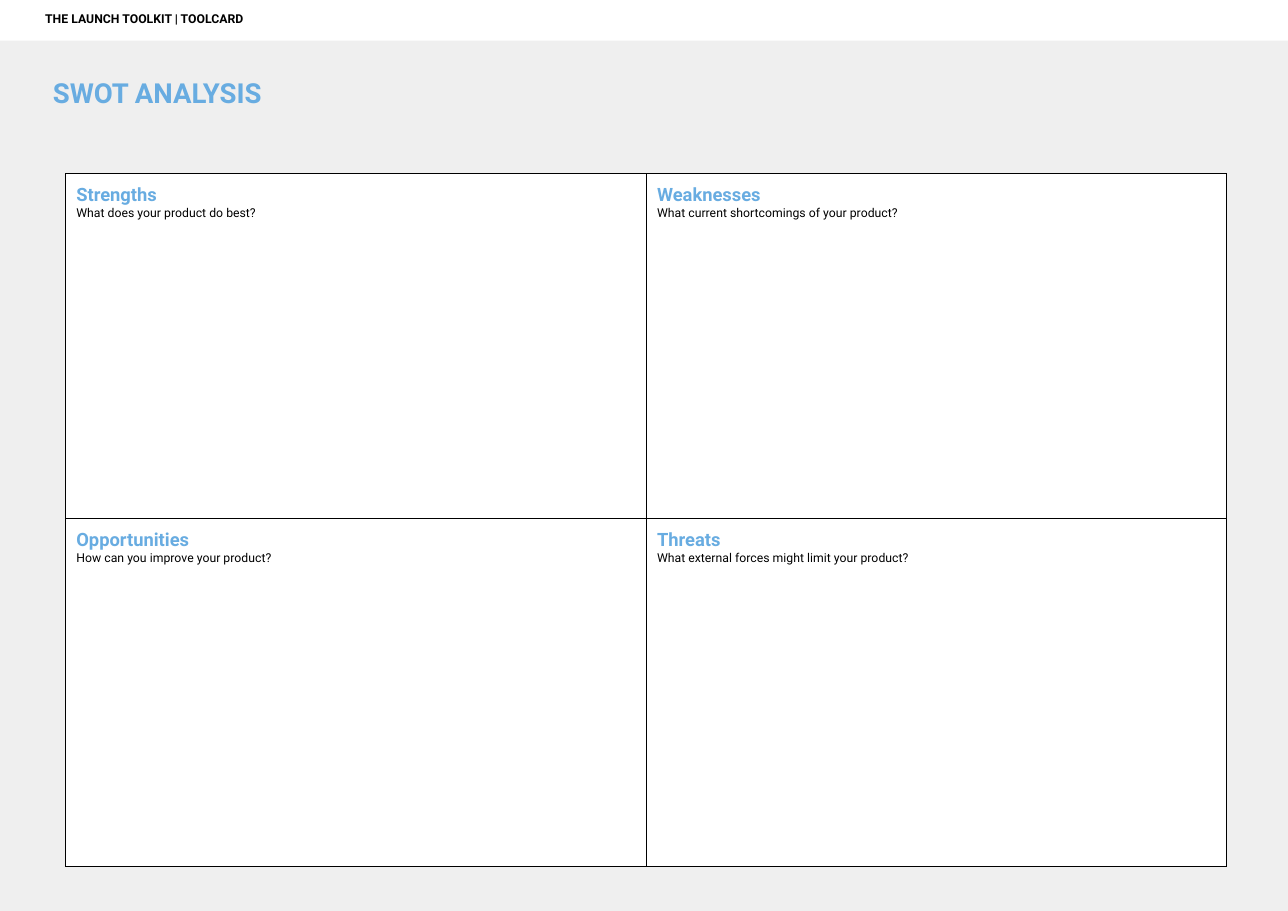
from lxml import etree
from pptx import Presentation
from pptx.dml.color import RGBColor
from pptx.enum.shapes import MSO_SHAPE
from pptx.enum.text import MSO_ANCHOR, MSO_AUTO_SIZE, PP_ALIGN
from pptx.oxml.ns import qn
from pptx.util import Cm, Pt

RECTANGLE = MSO_SHAPE.RECTANGLE
TOP = MSO_ANCHOR.TOP
LEFT = PP_ALIGN.LEFT
NO_AUTOFIT = MSO_AUTO_SIZE.NONE

BLUE = RGBColor(0x68, 0xAC, 0xE1)
BLACK = RGBColor(0, 0, 0)
WHITE = RGBColor(0xFF, 0xFF, 0xFF)
GREY = RGBColor(0xEF, 0xEF, 0xEF)

INSET = Cm(0.25)
INSETS = dict.fromkeys(("margin_left", "margin_top", "margin_right", "margin_bottom"), INSET)
TITLE_FONT = {"name": "Roboto", "size": Pt(18), "bold": True}
HEADING_FONT = {"name": "Roboto", "size": Pt(12), "bold": True}
SMALL_FONT = {"name": "Roboto", "size": Pt(8), "bold": False}
HEADER_FONT = {**SMALL_FONT, "bold": True}

QUADRANTS = [
    [("Strengths", "What does your product do best?"),
     ("Weaknesses", "What current shortcomings of your product?")],
    [("Opportunities", "How can you improve your product?"),
     ("Threats", "What external forces might limit your product?")],
]


def set_attributes(target, values):
    """Set every attribute named in a dict of format values."""
    for name, value in values.items():
        setattr(target, name, value)


def write_paragraph(paragraph, text, font_format, color):
    """Write one left-aligned, formatted line of text."""
    paragraph.text = text
    paragraph.alignment = LEFT
    set_attributes(paragraph.font, font_format)
    paragraph.font.color.rgb = color


def write_frame(shape, text, font_format, color, margin_left):
    """Write a line at the top of a shape, set in from its left edge."""
    frame = shape.text_frame
    set_attributes(frame, {**INSETS, "margin_left": margin_left, "word_wrap": True,
                           "auto_size": NO_AUTOFIT, "vertical_anchor": TOP})
    write_paragraph(frame.paragraphs[0], text, font_format, color)


def add_header(slide, left, top, width, height):
    """Add the white strip that names the toolkit."""
    shape = slide.shapes.add_shape(RECTANGLE, left, top, width, height)
    shape.shadow.inherit = False
    shape.fill.solid()
    shape.fill.fore_color.rgb = WHITE
    shape.line.fill.background()
    write_frame(shape, "THE LAUNCH TOOLKIT | TOOLCARD", HEADER_FONT, BLACK, Cm(1.04))


def place_title(slide, left, top, width, height):
    """Move and fill the title placeholder."""
    title = slide.shapes.title
    set_attributes(title, {"left": left, "top": top, "width": width, "height": height})
    write_frame(title, "SWOT ANALYSIS", TITLE_FONT, BLUE, Cm(1.22))


def add_cell_borders(cell):
    """Draw a thin black line on each side of a cell."""
    properties = cell._tc.get_or_add_tcPr()
    for side in ("a:lnL", "a:lnR", "a:lnT", "a:lnB"):
        line = etree.SubElement(properties, qn(side), w=str(Pt(0.75)))
        fill = etree.SubElement(line, qn("a:solidFill"))
        etree.SubElement(fill, qn("a:srgbClr"), val=str(BLACK))


def fill_quadrant(cell, heading, question):
    """Format one cell and write its heading and question."""
    add_cell_borders(cell)
    cell.fill.solid()
    cell.fill.fore_color.rgb = WHITE
    set_attributes(cell, {**INSETS, "vertical_anchor": TOP})
    frame = cell.text_frame
    write_paragraph(frame.paragraphs[0], heading, HEADING_FONT, BLUE)
    write_paragraph(frame.add_paragraph(), question, SMALL_FONT, BLACK)


def add_swot_table(slide, left, top, width, row_heights):
    """Add the grid of four quadrants."""
    table = slide.shapes.add_table(2, 2, left, top, width, sum(row_heights)).table
    set_attributes(table, {"first_row": False, "horz_banding": False})
    for row, height, quadrants in zip(table.rows, row_heights, QUADRANTS):
        row.height = height
        for cell, (heading, question) in zip(row.cells, quadrants):
            fill_quadrant(cell, heading, question)


def build_swot_slide(presentation):
    """Build the SWOT analysis card."""
    slide = presentation.slides.add_slide(presentation.slide_layouts[5])
    slide.background.fill.solid()
    slide.background.fill.fore_color.rgb = GREY
    add_swot_table(slide, Cm(1.51), Cm(4), Cm(26.78), (Cm(7.95), Cm(8.03)))
    place_title(slide, Cm(0), Cm(1.5), Cm(16.87), Cm(1.9))
    add_header(slide, Cm(0), Cm(0), presentation.slide_width, Cm(0.94))


def main():
    """Create the presentation and save it."""
    presentation = Presentation()
    set_attributes(presentation, {"slide_width": Cm(29.7), "slide_height": Cm(21)})
    build_swot_slide(presentation)
    presentation.save("out.pptx")


if __name__ == "__main__":
    main()
